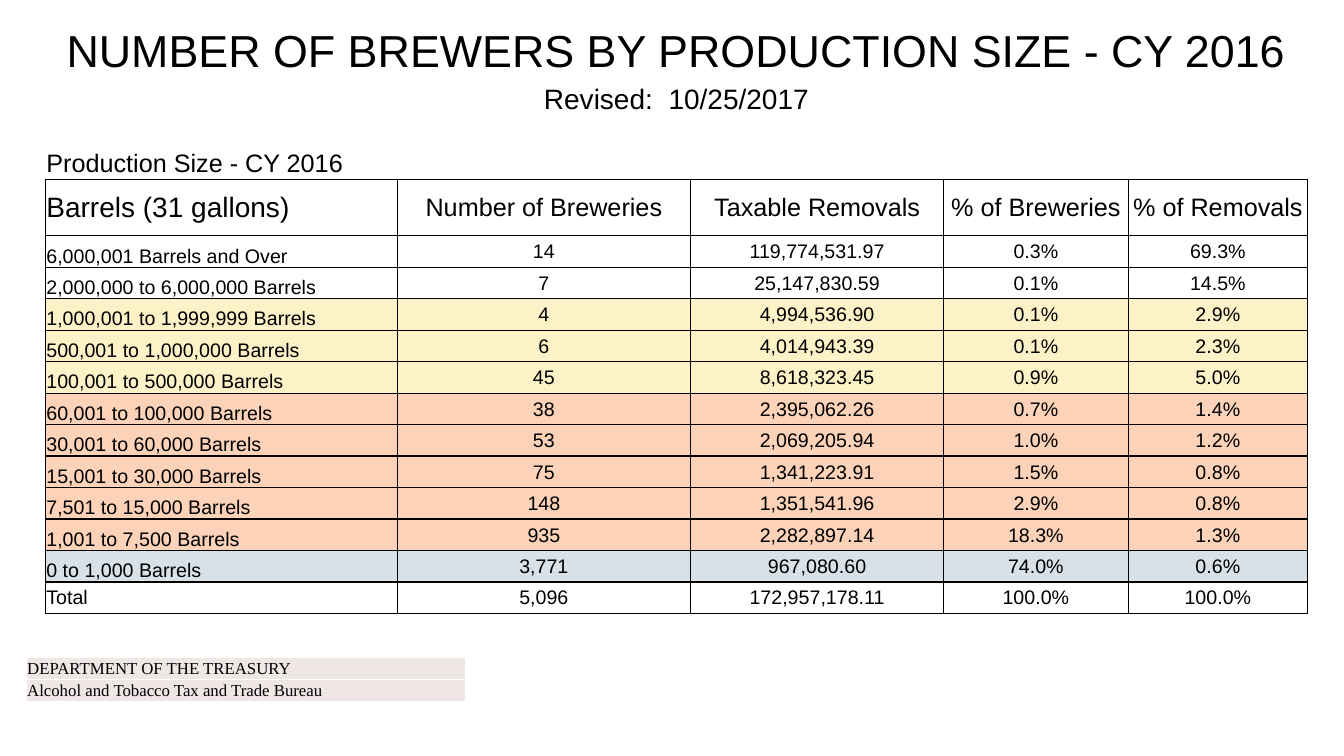
"""Build a slide with a table of brewers by production size."""
import pptx
import pptx.dml.color
import pptx.enum.text
import pptx.oxml
import pptx.oxml.ns
import pptx.util

Inches = pptx.util.Inches
RGBColor = pptx.dml.color.RGBColor
ANCHOR = pptx.enum.text.MSO_ANCHOR
ALIGN = pptx.enum.text.PP_ALIGN

BLACK = RGBColor(0x00, 0x00, 0x00)
WHITE = RGBColor(0xFF, 0xFF, 0xFF)
YELLOW = RGBColor(0xFD, 0xF2, 0xC7)
ORANGE = RGBColor(0xFC, 0xD3, 0xB9)
BLUE = RGBColor(0xD8, 0xE1, 0xE7)
BLUSH = RGBColor(0xEE, 0xE7, 0xE6)

WHITE_EDGES = dict.fromkeys("LRTB", WHITE)
BLACK_EDGES = dict.fromkeys("LRTB", BLACK)
CAPTION_EDGES = {**WHITE_EDGES, "B": BLACK}

MARGINS = {
    "margin_left": Inches(0.01),
    "margin_right": Inches(0.01),
    "margin_top": Inches(0.01),
    "margin_bottom": 0,
}
PLAIN_TABLE = {"first_row": False, "horz_banding": False}

COLUMN_WIDTHS = [3.49, 2.91, 2.51, 1.83, 1.78]
TOP_HEIGHTS = [0.56, 0.35, 0.32, 0.32, 0.56]
BODY_HEIGHT = 3.75

HEADINGS = [
    "Barrels (31 gallons)", "Number of Breweries", "Taxable Removals",
    "% of Breweries", "% of Removals",
]
BREWERS = [
    (WHITE, "6,000,001 Barrels and Over", "14", "119,774,531.97", "0.3%", "69.3%"),
    (WHITE, "2,000,000 to 6,000,000 Barrels", "7", "25,147,830.59", "0.1%", "14.5%"),
    (YELLOW, "1,000,001 to 1,999,999 Barrels", "4", "4,994,536.90", "0.1%", "2.9%"),
    (YELLOW, "500,001 to 1,000,000 Barrels", "6", "4,014,943.39", "0.1%", "2.3%"),
    (YELLOW, "100,001 to 500,000 Barrels", "45", "8,618,323.45", "0.9%", "5.0%"),
    (ORANGE, "60,001 to 100,000 Barrels", "38", "2,395,062.26", "0.7%", "1.4%"),
    (ORANGE, "30,001 to 60,000 Barrels", "53", "2,069,205.94", "1.0%", "1.2%"),
    (ORANGE, "15,001 to 30,000 Barrels", "75", "1,341,223.91", "1.5%", "0.8%"),
    (ORANGE, "7,501 to 15,000 Barrels", "148", "1,351,541.96", "2.9%", "0.8%"),
    (ORANGE, "1,001 to 7,500 Barrels", "935", "2,282,897.14", "18.3%", "1.3%"),
    (BLUE, "0 to 1,000 Barrels", "3,771", "967,080.60", "74.0%", "0.6%"),
    (WHITE, "Total", "5,096", "172,957,178.11", "100.0%", "100.0%"),
]
AGENCY = ["DEPARTMENT OF THE TREASURY", "Alcohol and Tobacco Tax and Trade Bureau"]


def apply(target, values):
    """Set each named attribute on the target."""
    for name, value in values.items():
        setattr(target, name, value)


def add_grid(page, left, top, widths, heights):
    """Add an unstyled table with the given column widths and row heights."""
    frame = page.shapes.add_table(
        len(heights), len(widths), left, top, sum(widths), sum(heights))
    grid = frame.table
    apply(grid, PLAIN_TABLE)
    for column, width in zip(grid.columns, widths):
        column.width = width
    for row, height in zip(grid.rows, heights):
        row.height = height
    return grid


def set_edges(cell, edges):
    """Draw one-point borders on the sides of a cell."""
    properties = cell._tc.get_or_add_tcPr()
    namespace = pptx.oxml.ns.nsdecls("a")
    for side, color in edges.items():
        properties.append(pptx.oxml.parse_xml(
            f'<a:ln{side} {namespace} w="12700"><a:solidFill>'
            f'<a:srgbClr val="{color}"/></a:solidFill></a:ln{side}>'))


def style_cell(cell, fill, edges):
    """Give a cell its margins, borders and fill."""
    apply(cell, MARGINS)
    set_edges(cell, edges)
    cell.fill.solid()
    cell.fill.fore_color.rgb = fill


def write_cell(cell, text, size, align=ALIGN.LEFT, anchor=ANCHOR.MIDDLE, font="Arial"):
    """Write one line of text in a cell."""
    cell.vertical_anchor = anchor
    para = cell.text_frame.paragraphs[0]
    para.alignment = align
    span = para.add_run()
    span.text = text
    apply(span.font, {"name": font, "size": pptx.util.Pt(size)})
    span.font.color.rgb = BLACK


def add_agency(page):
    """Add the two-line agency name at the bottom."""
    grid = add_grid(page, Inches(0.26), Inches(6.52), [Inches(4.36)], [Inches(0.22)] * 2)
    for cell, text in zip(grid.iter_cells(), AGENCY):
        style_cell(cell, BLUSH, WHITE_EDGES)
        write_cell(cell, text, 12, font="Times New Roman")


def add_brewers(page):
    """Add the title rows, headings and figures as one table."""
    body_heights = [Inches(BODY_HEIGHT / len(BREWERS))] * len(BREWERS)
    grid = add_grid(
        page, Inches(0.45), Inches(0.23), [Inches(width) for width in COLUMN_WIDTHS],
        [Inches(height) for height in TOP_HEIGHTS] + body_heights)
    row_fills = [WHITE] * len(TOP_HEIGHTS) + [brewer[0] for brewer in BREWERS]
    row_edges = [WHITE_EDGES] * 3 + [CAPTION_EDGES] + [BLACK_EDGES] * (1 + len(BREWERS))
    for row, fill, edges in zip(grid.rows, row_fills, row_edges):
        for cell in row.cells:
            style_cell(cell, fill, edges)

    last_column = len(COLUMN_WIDTHS) - 1
    for index in range(2):
        grid.cell(index, 0).merge(grid.cell(index, last_column))
    write_cell(grid.cell(0, 0), "NUMBER OF BREWERS BY PRODUCTION SIZE - CY 2016", 32,
               ALIGN.CENTER)
    write_cell(grid.cell(1, 0), "Revised:  10/25/2017", 20, ALIGN.CENTER, ANCHOR.BOTTOM)
    write_cell(grid.cell(3, 0), "Production Size - CY 2016", 18)

    for column, heading in enumerate(HEADINGS):
        size, align = (18, ALIGN.CENTER) if column else (20, ALIGN.LEFT)
        write_cell(grid.cell(4, column), heading, size, align)
    for index, (_, label, *figures) in enumerate(BREWERS, len(TOP_HEIGHTS)):
        anchor = ANCHOR.MIDDLE if label == "Total" else ANCHOR.BOTTOM
        write_cell(grid.cell(index, 0), label, 14, anchor=anchor)
        for column, figure in enumerate(figures, 1):
            write_cell(grid.cell(index, column), figure, 14, ALIGN.CENTER)


def main():
    """Create the deck and save it."""
    deck = pptx.Presentation()
    apply(deck, {"slide_width": Inches(13.33), "slide_height": Inches(7.5)})
    page = deck.slides.add_slide(deck.slide_layouts[6])
    add_agency(page)
    add_brewers(page)
    deck.save("out.pptx")


if __name__ == "__main__":
    main()
